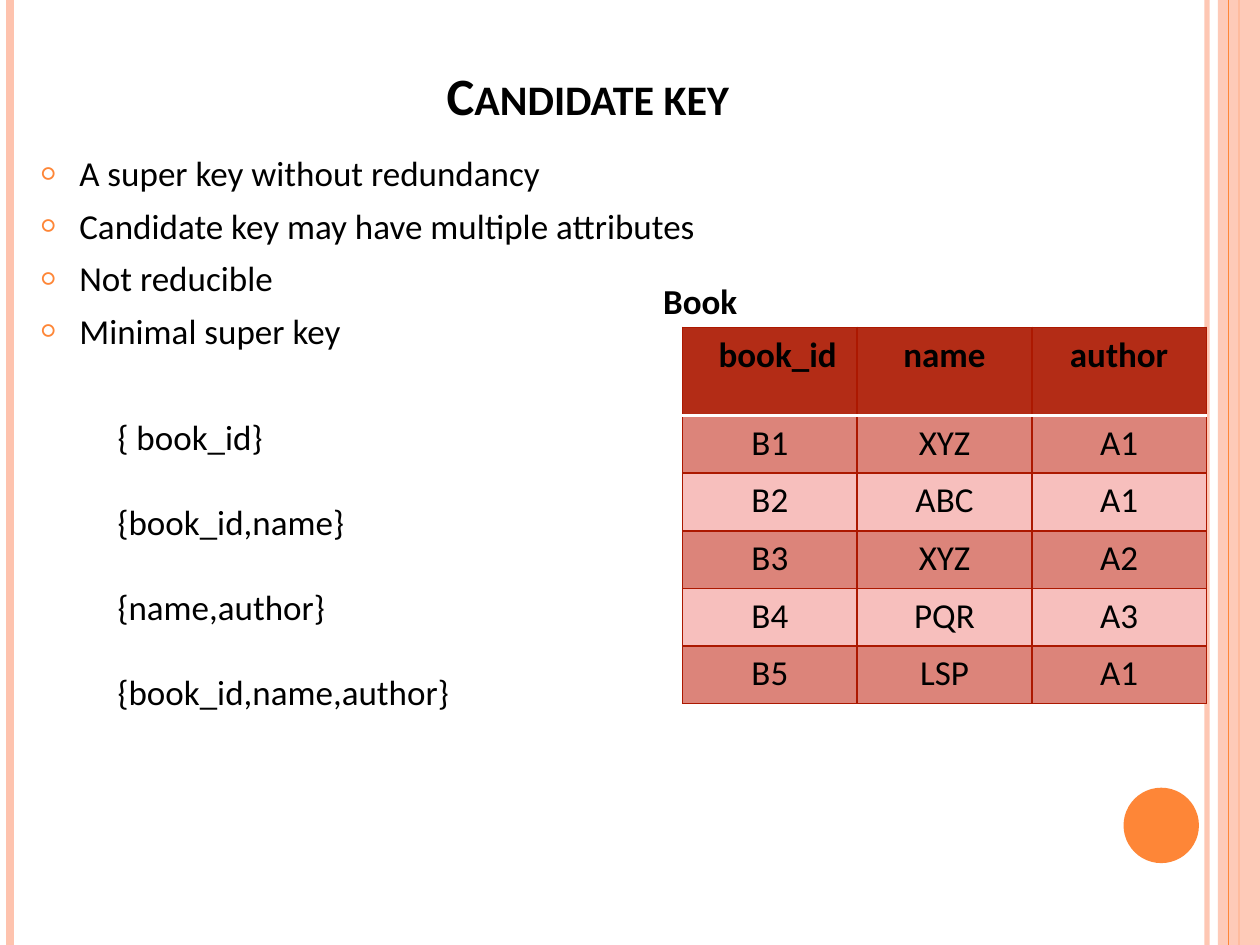
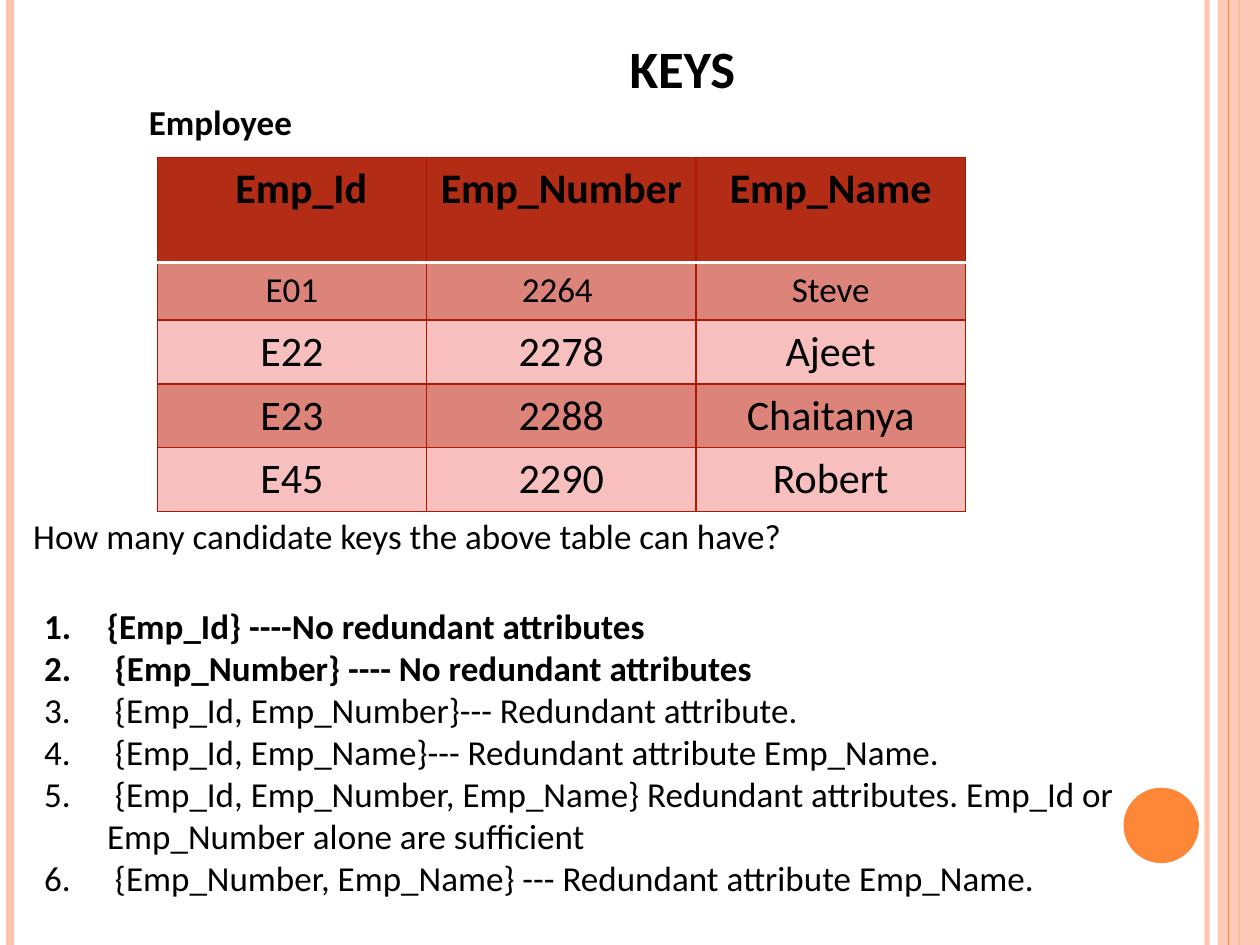
from dataclasses import dataclass

import lxml.etree
import pptx
import pptx.dml.color
import pptx.enum.dml
import pptx.enum.shapes
import pptx.enum.text
import pptx.oxml.ns
import pptx.slide
import pptx.text.text
import pptx.util

Cm = pptx.util.Cm
Pt = pptx.util.Pt
RGBColor = pptx.dml.color.RGBColor
qn = pptx.oxml.ns.qn

BLACK = RGBColor(0x00, 0x00, 0x00)
WHITE = RGBColor(0xFF, 0xFF, 0xFF)
PEACH = RGBColor(0xFE, 0xC3, 0xAE)
ORANGE = RGBColor(0xFE, 0x86, 0x37)
BRICK = RGBColor(0xB3, 0x2C, 0x16)
EDGE = RGBColor(0xAC, 0x18, 0x00)
ROSE = RGBColor(0xDC, 0x84, 0x7A)
PINK = RGBColor(0xF7, 0xBF, 0xBD)

FONT = "Calibri"
WIDE, HIGH = Cm(25.4), Cm(19.05)
TITLE_ONLY = 5
CENTER = pptx.enum.text.PP_ALIGN.CENTER


@dataclass(frozen=True)
class Box:
    """A place on the slide, in centimetres."""
    left: float
    top: float
    width: float
    height: float

    def place(self) -> tuple:
        return Cm(self.left), Cm(self.top), Cm(self.width), Cm(self.height)


@dataclass(frozen=True)
class Rule:
    """An upright line of the frame."""
    left: float
    color: RGBColor
    weight: float
    alpha: int = 100


@dataclass(frozen=True)
class Grid:
    """A table: its corner, column width, head height, rows and row sizes."""
    left: float
    top: float
    col: float
    head: float
    rows: tuple[tuple[str, ...], ...]
    sizes: tuple[int, ...]


@dataclass(frozen=True)
class Style:
    """Paragraph form; the mark is a bullet tag with its attributes."""
    marks: tuple[tuple[str, dict], ...] = ()
    indent: float = 0
    gap: float = 0
    inset: float = 0.25
    bold: int = 0


RULES = (
    Rule(24.33, PEACH, 3, 93),
    Rule(0.21, PEACH, 4.5),
    Rule(24.98, ORANGE, 1.5),
    Rule(24.77, ORANGE, 0.75),
)
BAND = Box(24.55, 0, 0.85, 19.05)
DISC = Box(22.65, 15.88, 1.52, 1.52)
ROW = 1.16

PLAIN = Style()
STRONG = Style(bold=1)
SPACED = Style(gap=24.4)
POINTS = Style(
    marks=(("a:buSzPct", {"val": "70000"}),
           ("a:buFont", {"typeface": FONT}),
           ("a:buChar", {"char": "○"})),
    indent=0.76, gap=6, inset=0.2)
NUMBERS = Style(
    marks=(("a:buFont", {"typeface": "+mj-lt"}),
           ("a:buAutoNum", {"type": "arabicPeriod"})),
    indent=1.27, bold=2)

BOOKS = Grid(13.76, 6.6, 3.52, 1.78, (
    ("book_id", "name", "author"),
    ("B1", "XYZ", "A1"),
    ("B2", "ABC", "A1"),
    ("B3", "XYZ", "A2"),
    ("B4", "PQR", "A3"),
    ("B5", "LSP", "A1"),
), (20,) * 6)
STAFF = Grid(3.17, 3.17, 5.43, 2.12, (
    ("Emp_Id", "Emp_Number", "Emp_Name"),
    ("E01", "2264 ", "Steve"),
    ("E22", "2278", "Ajeet"),
    ("E23", "2288", "Chaitanya"),
    ("E45", "2290", "Robert"),
), (24, 20, 24, 24, 24))


def add_node(home, tag: str, **attrs: str):
    return lxml.etree.SubElement(home, qn(tag), attrs)


def set_alpha(props, share: int) -> None:
    """Make the first colour under props partly transparent."""
    color = next(props.iter(qn("a:srgbClr")))
    add_node(color, "a:alpha", val=str(share * 1000))


def set_font(para: pptx.text.text._Paragraph, size: float, bold: bool) -> None:
    for run in para.runs:
        run.font.name = FONT
        run.font.size = Pt(size)
        run.font.bold = bold
        run.font.color.rgb = BLACK


def add_rule(slide: pptx.slide.Slide, rule: Rule) -> None:
    line = slide.shapes.add_connector(
        pptx.enum.shapes.MSO_CONNECTOR.STRAIGHT,
        Cm(rule.left), 0, Cm(rule.left), HIGH)
    line.line.color.rgb = rule.color
    line.line.width = Pt(rule.weight)
    props = line._element.spPr
    if rule.alpha < 100:
        set_alpha(props, rule.alpha)
    add_node(props, "a:effectLst")


def add_form(slide: pptx.slide.Slide, kind, box: Box, color: RGBColor,
             alpha: int = 100) -> None:
    form = slide.shapes.add_shape(kind, *box.place())
    form.shadow.inherit = False
    form.fill.solid()
    form.fill.fore_color.rgb = color
    form.line.fill.background()
    if alpha < 100:
        set_alpha(form._element.spPr, alpha)


def add_frame(slide: pptx.slide.Slide) -> None:
    """Draw the side lines, the right band and the disc."""
    kinds = pptx.enum.shapes.MSO_SHAPE
    for rule in RULES[:3]:
        add_rule(slide, rule)
    add_form(slide, kinds.RECTANGLE, BAND, PEACH, 87)
    add_rule(slide, RULES[3])
    add_form(slide, kinds.OVAL, DISC, ORANGE)


def set_title(slide: pptx.slide.Slide, text: str, box: Box,
              shift: float = 0) -> None:
    title = slide.shapes.title
    title.left, title.top, title.width, title.height = box.place()
    frame = title.text_frame
    frame.text = text
    frame.word_wrap = True
    frame.auto_size = pptx.enum.text.MSO_AUTO_SIZE.NONE
    frame.vertical_anchor = pptx.enum.text.MSO_ANCHOR.BOTTOM
    frame.margin_left, frame.margin_right = Cm(0.2 + shift), Cm(0.2)
    frame.margin_top = frame.margin_bottom = Cm(0.1)
    para = frame.paragraphs[0]
    para.alignment = CENTER
    set_font(para, 30, True)
    para.runs[0].font._element.set("cap", "small")


def add_text(slide: pptx.slide.Slide, box: Box, lines: tuple[str, ...],
             style: Style = PLAIN) -> None:
    frame = slide.shapes.add_textbox(*box.place()).text_frame
    frame.word_wrap = True
    frame.margin_left = frame.margin_right = Cm(style.inset)
    frame.margin_top = frame.margin_bottom = Cm(style.inset / 2)
    frame.text = "\n".join(lines)
    for i, para in enumerate(frame.paragraphs):
        if i and style.gap:
            para.space_before = Pt(style.gap)
        if style.marks:
            props = para._p.get_or_add_pPr()
            props.set("marL", str(Cm(style.indent)))
            props.set("indent", str(-Cm(style.indent)))
            if style is POINTS:
                tint = add_node(props, "a:buClr")
                add_node(tint, "a:srgbClr", val=str(ORANGE))
            for tag, attrs in style.marks:
                add_node(props, tag, **attrs)
        set_font(para, 20, i < style.bold)


def set_edge(cell, side: str, color: RGBColor, weight: float) -> None:
    props = cell._tc.get_or_add_tcPr()
    line = add_node(props, f"a:ln{side}", w=str(Pt(weight)))
    fill = add_node(line, "a:solidFill")
    add_node(fill, "a:srgbClr", val=str(color))


def add_grid(slide: pptx.slide.Slide, grid: Grid) -> None:
    count = len(grid.rows[0])
    tall = grid.head + ROW * (len(grid.rows) - 1)
    box = Box(grid.left, grid.top, grid.col * count, tall)
    table = slide.shapes.add_table(len(grid.rows), count, *box.place()).table
    for col in table.columns:
        col.width = Cm(grid.col)
    for r, (words, size) in enumerate(zip(grid.rows, grid.sizes)):
        table.rows[r].height = Cm(ROW if r else grid.head)
        for c, word in enumerate(words):
            cell = table.cell(r, c)
            for side in "LRTB":
                seam = (r, side) in ((0, "B"), (1, "T"))
                set_edge(cell, side, WHITE if seam else EDGE, 2 if seam else 1)
            cell.fill.solid()
            cell.fill.fore_color.rgb = (ROSE if r % 2 else PINK) if r else BRICK
            if r == c == 0:
                cell.margin_left = Cm(0.25 + size * 0.016)
            cell.text_frame.text = word
            para = cell.text_frame.paragraphs[0]
            para.alignment = CENTER
            set_font(para, size, r == 0)


def start_slide(deck) -> pptx.slide.Slide:
    slide = deck.slides.add_slide(deck.slide_layouts[TITLE_ONLY])
    add_frame(slide)
    return slide


def draw_key(deck) -> None:
    slide = start_slide(deck)
    set_title(slide, "Candidate key", Box(1.48, 0.42, 20.74, 2.22))
    add_text(slide, Box(0.64, 2.96, 15.45, 13.55), (
        "A super key without redundancy",
        "Candidate key may have multiple attributes",
        "Not reducible",
        "Minimal super key",
    ), POINTS)
    add_text(slide, Box(2.12, 8.26, 12.91, 6.19), (
        "{ book_id}",
        "{book_id,name}",
        "{name,author}",
        "{book_id,name,author}",
    ), SPACED)
    add_grid(slide, BOOKS)
    add_text(slide, Box(13.12, 5.5, 2.96, 1.11), ("Book",), STRONG)


def draw_quiz(deck) -> None:
    slide = start_slide(deck)
    add_grid(slide, STAFF)
    set_title(slide, "KEYS", Box(1.27, 0.12, 20.74, 1.98), 2.1)
    add_text(slide, Box(2.75, 1.9, 5.08, 1.11), ("Employee",), STRONG)
    add_text(slide, Box(0.64, 12.06, 22.65, 6.25), (
        "{Emp_Id} ----No redundant attributes",
        " {Emp_Number} ---- No redundant attributes",
        " {Emp_Id, Emp_Number}--- Redundant attribute.",
        " {Emp_Id, Emp_Name}--- Redundant attribute Emp_Name.",
        " {Emp_Id, Emp_Number, Emp_Name} Redundant attributes. "
        "Emp_Id or Emp_Number alone are sufficient",
        " {Emp_Number, Emp_Name} --- Redundant attribute Emp_Name.",
    ), NUMBERS)
    add_text(slide, Box(0.42, 10.25, 16.93, 1.95),
             ("How many candidate keys the above table can have?",))


def main() -> None:
    deck = pptx.Presentation()
    deck.slide_width, deck.slide_height = WIDE, HIGH
    draw_key(deck)
    draw_quiz(deck)
    deck.save("out.pptx")


if __name__ == "__main__":
    main()
